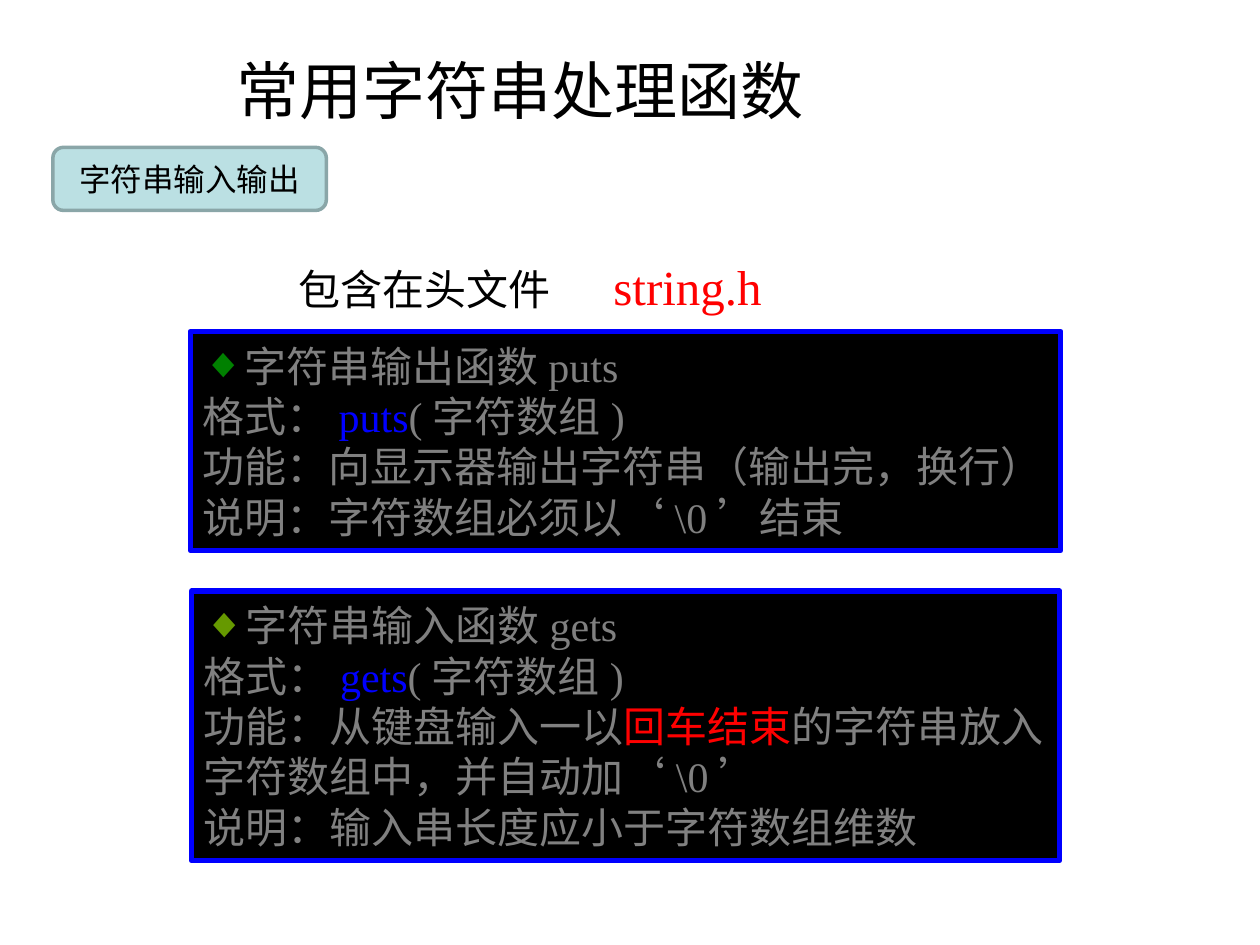
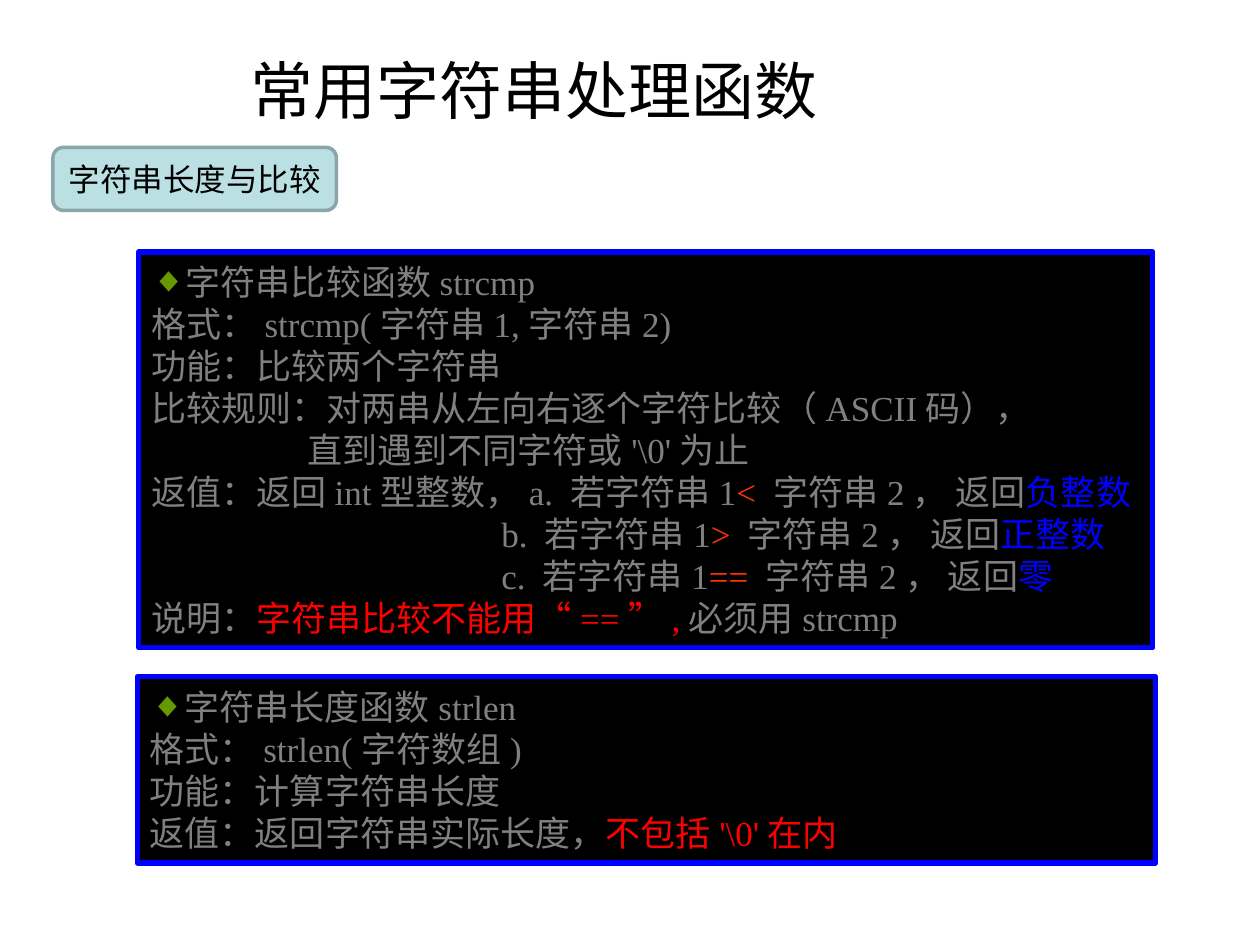
from lxml.etree import SubElement
from pptx import Presentation
from pptx.dml.color import RGBColor
from pptx.enum.shapes import MSO_SHAPE
from pptx.enum.text import MSO_ANCHOR, MSO_AUTO_SIZE, PP_ALIGN
from pptx.oxml.ns import qn
from pptx.util import Inches, Pt

BLACK, GREY, RED, BLUE = "000000", "808080", "FF0000", "0000FF"
ORANGE, GREEN, OLIVE = "FF3300", "008000", "669900"
LABEL_FILL, LABEL_LINE = "BBE0E3", "8AA6A8"
HAN, SERIF, SANS = "Noto Sans CJK SC", "Times New Roman", "Arial"
TITLE = "常用字符串处理函数"
RULE_INDENT, CASE_INDENT = 1.24, 2.78


def return_case(lead, sign, rest, value):
    return [lead + " 若字符串1", (sign, ORANGE), rest + "字符串2， 返回", (value, BLUE)]


# Content: a line is a list of spans; a span is a text or (text, colour).
# A panel's indents map a line number to its left indent.
SLIDES = [
    dict(
        title_indent=0.45, label="字符串输入输出", label_width=2.17,
        header=["包含在头文件\t", ("string.h", RED, 28)],
        panels=[
            dict(at=(1.51, 2.63, 6.91, 1.74), size=24, bullet=GREEN, lines=[
                ["字符串输出函数puts"],
                ["格式：", ("puts", BLUE), "(字符数组)"],
                ["功能：向显示器输出字符串（输出完，换行）"],
                ["说明：字符数组必须以‘\\0’结束"],
            ]),
            dict(at=(1.52, 4.69, 6.89, 2.14), size=24, bullet=OLIVE, lines=[
                ["字符串输入函数gets"],
                ["格式：", ("gets", BLUE), "(字符数组)"],
                ["功能：从键盘输入一以", ("回车结束", RED),
                 "的字符串放入字符数组中，并自动加‘\\0’"],
                ["说明：输入串长度应小于字符数组维数"],
            ]),
        ],
    ),
    dict(
        title_indent=0.56, label="字符串长度与比较", label_width=2.25,
        panels=[
            dict(at=(1.1, 2, 8.05, 3.14), size=20, bullet=OLIVE,
                 indents={4: RULE_INDENT, 6: CASE_INDENT, 7: CASE_INDENT}, lines=[
                ["字符串比较函数strcmp"],
                ["格式：strcmp(字符串1,字符串2)"],
                ["功能：比较两个字符串"],
                ["比较规则：对两串从左向右逐个字符比较（ASCII码），"],
                ["直到遇到不同字符或'\\0'为止"],
                return_case("返值：返回int型整数，a.", "<", " ", "负整数"),
                return_case("b.", ">", " ", "正整数"),
                return_case("c.", "== ", "", "零"),
                ["说明：", ("字符串比较不能用“==”,", RED), "必须用strcmp"],
            ]),
            dict(at=(1.09, 5.37, 8.08, 1.48), size=20, bullet=OLIVE, lines=[
                ["字符串长度函数strlen"],
                ["格式：strlen(字符数组)"],
                ["功能：计算字符串长度"],
                ["返值：返回字符串实际长度，", ("不包括'\\0'在内", RED)],
            ]),
        ],
    ),
]


def color(value):
    return RGBColor.from_string(value)


def write(box, lines, size, font=SERIF, ink=BLACK, align=PP_ALIGN.LEFT,
          anchor=MSO_ANCHOR.MIDDLE, bullet=None, indents=None, tab=None):
    """Fill a box with lines of spans; the bullet marks the first line."""
    frame = box.text_frame
    frame.word_wrap = True
    frame.vertical_anchor = anchor
    for number, line in enumerate(lines):
        para = frame.add_paragraph() if number else frame.paragraphs[0]
        para.alignment = align
        settings = para._p.get_or_add_pPr()
        settings.set("marL", str(Inches((indents or {}).get(number, 0))))
        settings.set("indent", "0")
        if bullet and number == 0:
            tint = SubElement(settings, qn("a:buClr"))
            SubElement(tint, qn("a:srgbClr"), val=bullet)
            SubElement(settings, qn("a:buFont"), typeface=SERIF)
            SubElement(settings, qn("a:buChar"), char="◆")
        if tab:
            stops = SubElement(settings, qn("a:tabLst"))
            SubElement(stops, qn("a:tab"), pos=str(Inches(tab)), algn="l")
        for item in line:
            text, *style = (item,) if isinstance(item, str) else item
            span = para.add_run()
            span.text = text
            span.font.size = Pt(style[1] if len(style) > 1 else size)
            span.font.color.rgb = color(style[0] if style else ink)
            span.font.name = font
            SubElement(span._r.get_or_add_rPr(), qn("a:ea"), typeface=HAN)


def add_text(page, at, lines, size, **style):
    box = page.shapes.add_textbox(*map(Inches, at))
    write(box, lines, size, **style)


def add_box(page, kind, at, fill, line, weight):
    box = page.shapes.add_shape(kind, *map(Inches, at))
    box.shadow.inherit = False
    box.fill.solid()
    box.fill.fore_color.rgb = color(fill)
    box.line.color.rgb = color(line)
    box.line.width = Pt(weight)
    return box


def build_slide(deck, content):
    page = deck.slides.add_slide(deck.slide_layouts[6])

    # Title and topic label
    add_text(page, (1.33, 0.25, 8.17, 0.92), [[TITLE]], 36, font=HAN,
             indents={0: content["title_indent"]})
    label = add_box(page, MSO_SHAPE.ROUNDED_RECTANGLE,
                    (0.42, 1.17, content["label_width"], 0.5), LABEL_FILL, LABEL_LINE, 2)
    write(label, [[content["label"]]], 18, font=SANS, align=PP_ALIGN.CENTER)

    # Header file
    if "header" in content:
        add_text(page, (2.27, 1.99, 4.08, 0.58), [content["header"]], 24,
                 anchor=MSO_ANCHOR.TOP, tab=2.29)

    # Function panels
    for panel in content["panels"]:
        box = add_box(page, MSO_SHAPE.RECTANGLE, panel["at"], BLACK, BLUE, 3)
        write(box, panel["lines"], panel["size"], ink=GREY,
              bullet=panel["bullet"], indents=panel.get("indents"))
        box.text_frame.auto_size = MSO_AUTO_SIZE.SHAPE_TO_FIT_TEXT


def main():
    deck = Presentation()
    deck.slide_width, deck.slide_height = Inches(10), Inches(7.5)
    for content in SLIDES:
        build_slide(deck, content)
    deck.save("out.pptx")


if __name__ == "__main__":
    main()
